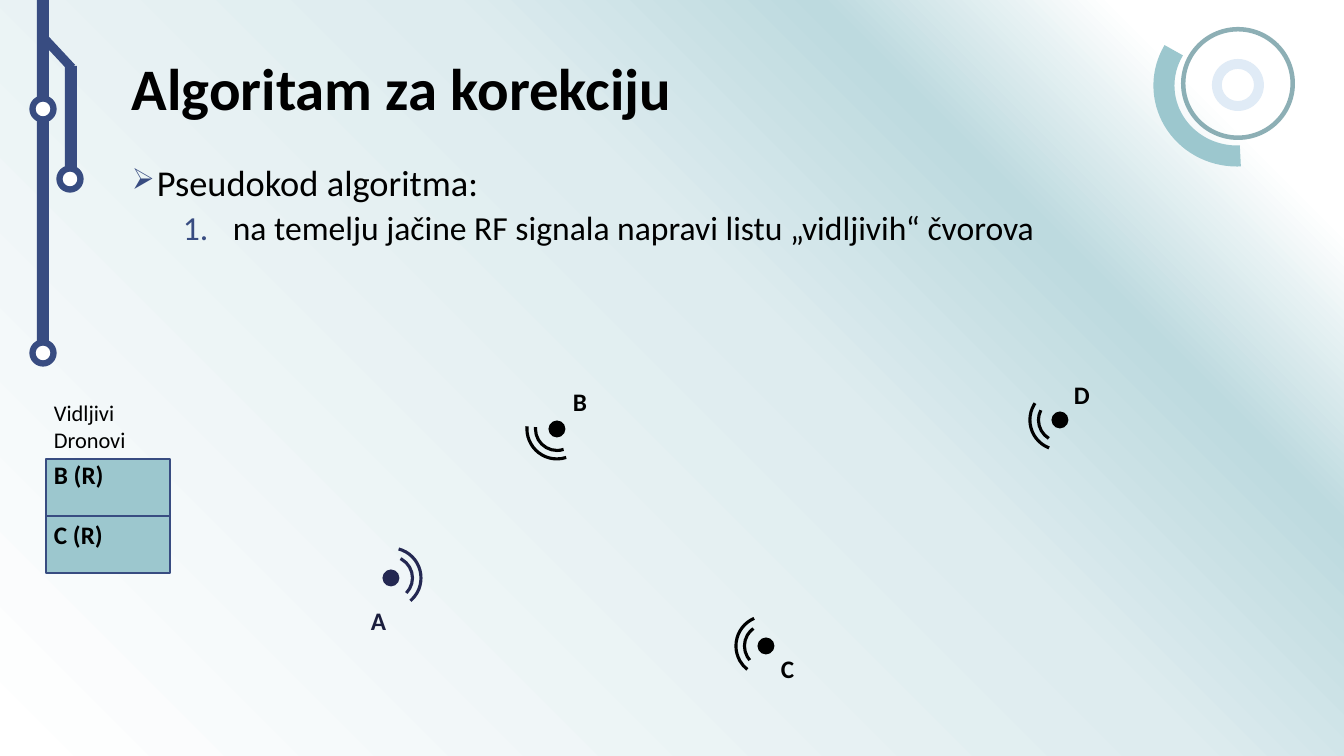
from pptx import Presentation
from pptx import util as u
from pptx.dml.color import RGBColor
from pptx.enum import shapes, text
from pptx.oxml import parse_xml
from pptx.oxml.ns import nsdecls, qn
from lxml import etree

# Colours
BLACK = RGBColor(0x00, 0x00, 0x00)
WHITE = RGBColor(0xFF, 0xFF, 0xFF)
NAVY = RGBColor(0x24, 0x28, 0x52)
DARK_NAVY = RGBColor(0x1B, 0x1E, 0x3E)
BLUE = RGBColor(0x38, 0x4C, 0x81)
TEAL = RGBColor(0x9C, 0xC7, 0xCE)
DARK_TEAL = RGBColor(0x41, 0x7B, 0x85)
PALE_BLUE = RGBColor(0xE0, 0xEB, 0xF6)
FONT = "Calibri"

# Content (lengths in px, angles in degrees)
WIDTH, HEIGHT = 1344, 756
BACKGROUND_STOPS = [(0, "FFFFFF"), (11, "FFFFFF"), (25, "BDDADF"),
                    (43, "DEECEF"), (100, "FFFFFF")]
TITLE = "Algoritam za korekciju"
# text, size, space before, left margin, indent, bullet size %, bullet tag, bullet attributes
BODY = [
    ("Pseudokod algoritma:", 26, 10, 25, -25, 80, "a:buChar", {"char": "➢"}),
    ("na temelju jačine RF signala napravi listu „vidljivih“ čvorova", 24, 5, 101, -50,
     100, "a:buAutoNum", {"type": "arabicPeriod"}),
]
# name, dot centre, label corner, outer arc, inner arc, drawing colour, label colour
DRONES = [
    ("B", (557, 429), (563, 381), (72, 185), (72, 185), BLACK, BLACK),
    ("C", (766, 646), (771, 648), (128.4, 246.8), (138.8, 234.2), BLACK, BLACK),
    ("D", (1060, 420), (1064, 374), (111.1, 213.9), (121.3, 207), BLACK, BLACK),
    ("A", (391, 578), (361, 600), (284.8, 49.6), (296.2, 44.4), NAVY, DARK_NAVY),
]
DOT, OUTER, INNER = 17, 60, 43
LIST_TITLE = "Vidljivi\vDronovi"
VISIBLE = ["B (R)", "C (R)"]
LIST_LEFT, LIST_TOP, CELL_WIDTH, CELL_HEIGHT = 46, 459, 124, 57
TRACK_BARS = [((65, 66, 12, 106), 0), ((37, 0, 12, 343), 0), ((52, 29, 9, 45), 317)]
TRACK_RINGS = [(70, 179), (43, 109), (43, 353)]
RING = 21

SCALE = u.Inches(1) / 100.8
KIND = shapes.MSO_SHAPE


def px(*lengths):
    return [u.Emu(round(length * SCALE)) for length in lengths]


def add_shape(parent, kind, box, fill=None, line=None, weight=0, adjust=(), rotation=0):
    shape = parent.add_shape(kind, *px(*box))
    shape.shadow.inherit = False
    shape.rotation = rotation
    for index, value in enumerate(adjust):
        shape.adjustments[index] = value
    if fill is None:
        shape.fill.background()
    else:
        shape.fill.solid()
        shape.fill.fore_color.rgb = fill
    if line is None:
        shape.line.fill.background()
    else:
        shape.line.color.rgb = line
        shape.line.width = u.Pt(weight)
    return shape


def centred(centre, size):
    return centre[0] - size / 2, centre[1] - size / 2, size, size


def angles(*degrees):
    return [degree * 0.6 for degree in degrees]


def add_text(box, frame_format):
    frame = slide.shapes.add_textbox(*px(*box)).text_frame
    for name, value in {"word_wrap": True, **frame_format}.items():
        setattr(frame, name, value)
    return frame


def write(paragraph, words, **font_format):
    paragraph.text = words
    for run in paragraph.runs:
        run.font.name = FONT
        run.font.color.rgb = BLACK
        for name, value in font_format.items():
            if name == "color":
                run.font.color.rgb = value
            else:
                setattr(run.font, name, value)


def add_label(words, box, size=18, bold=True, color=BLACK):
    frame = add_text(box, {"auto_size": text.MSO_AUTO_SIZE.SHAPE_TO_FIT_TEXT})
    write(frame.paragraphs[0], words, size=u.Pt(size), bold=bold, color=color)


presentation = Presentation()
presentation.slide_width, presentation.slide_height = px(WIDTH, HEIGHT)
slide = presentation.slides.add_slide(presentation.slide_layouts[6])

# Background gradient spreading from the top right corner
stops = "".join(f'<a:gs pos="{position * 1000}"><a:srgbClr val="{color}"/></a:gs>'
                for position, color in BACKGROUND_STOPS)
slide.element.find(qn("p:cSld")).insert(0, parse_xml(
    f'<p:bg {nsdecls("p", "a")}><p:bgPr><a:gradFill rotWithShape="1"><a:gsLst>{stops}</a:gsLst>'
    '<a:path path="circle"><a:fillToRect l="100000" b="100000"/></a:path>'
    '<a:tileRect t="-100000" r="-100000"/></a:gradFill><a:effectLst/></p:bgPr></p:bg>'))

# Round ornament
add_shape(slide.shapes, KIND.DONUT, (1212, 59, 52, 52), PALE_BLUE, adjust=[0.19])
add_shape(slide.shapes, KIND.BLOCK_ARC, (1156, 2, 162, 167), TEAL,
          adjust=[*angles(177.2, 299.2), 0.13], rotation=270)
ring = add_shape(slide.shapes, KIND.DONUT, (1181, 27, 114, 113), DARK_TEAL, adjust=[0.04])
ring_color = ring.element.spPr.find(qn("a:solidFill")).find(qn("a:srgbClr"))
etree.SubElement(ring_color, qn("a:alpha"), val="60000")

# Circuit track
for box, rotation in TRACK_BARS:
    add_shape(slide.shapes, KIND.RECTANGLE, box, BLUE, rotation=rotation)
for centre in TRACK_RINGS:
    add_shape(slide.shapes, KIND.OVAL, centred(centre, RING), WHITE, BLUE, 4.5)

# Title and body
title = add_text((122, 40, 1130, 103), {"vertical_anchor": text.MSO_ANCHOR.MIDDLE})
title.paragraphs[0].line_spacing = 0.9
write(title.paragraphs[0], TITLE, size=u.Pt(42), bold=True)

body = add_text((122, 160, 1130, 119), {})
for index, (words, size, before, margin, indent, percent, tag, bullet) in enumerate(BODY):
    paragraph = body.add_paragraph() if index else body.paragraphs[0]
    write(paragraph, words, size=u.Pt(size))
    paragraph.level = index
    paragraph.line_spacing = 0.9
    paragraph.space_before = u.Pt(before)
    properties = paragraph._p.get_or_add_pPr()
    for name, length in {"marL": margin, "indent": indent}.items():
        properties.set(name, str(px(length)[0]))
    color = etree.SubElement(properties, qn("a:buClr"))
    etree.SubElement(color, qn("a:srgbClr"), val=str(BLUE))
    etree.SubElement(properties, qn("a:buSzPct"), val=str(percent * 1000))
    etree.SubElement(properties, qn(tag), **bullet)

# Drones with their signal waves
for name, centre, corner, outer, inner, color, label_color in DRONES:
    drone = slide.shapes.add_group_shape().shapes
    add_shape(drone, KIND.OVAL, centred(centre, DOT), color)
    for size, sweep in ((OUTER, outer), (INNER, inner)):
        add_shape(drone, KIND.ARC, centred(centre, size), None, color, 2.25, angles(*sweep))
    add_label(name, (*corner, 38, 40), color=label_color)

# List of visible drones
add_label(LIST_TITLE, (44, 394, 95, 65), size=16, bold=False)
for row, words in enumerate(VISIBLE):
    top = LIST_TOP + row * CELL_HEIGHT
    add_shape(slide.shapes, KIND.RECTANGLE, (LIST_LEFT, top, CELL_WIDTH, CELL_HEIGHT),
              TEAL, BLUE, 1)
for row, words in enumerate(VISIBLE):
    add_label(words, (44, 454 + row * 60, 79, 40))

presentation.save("out.pptx")
